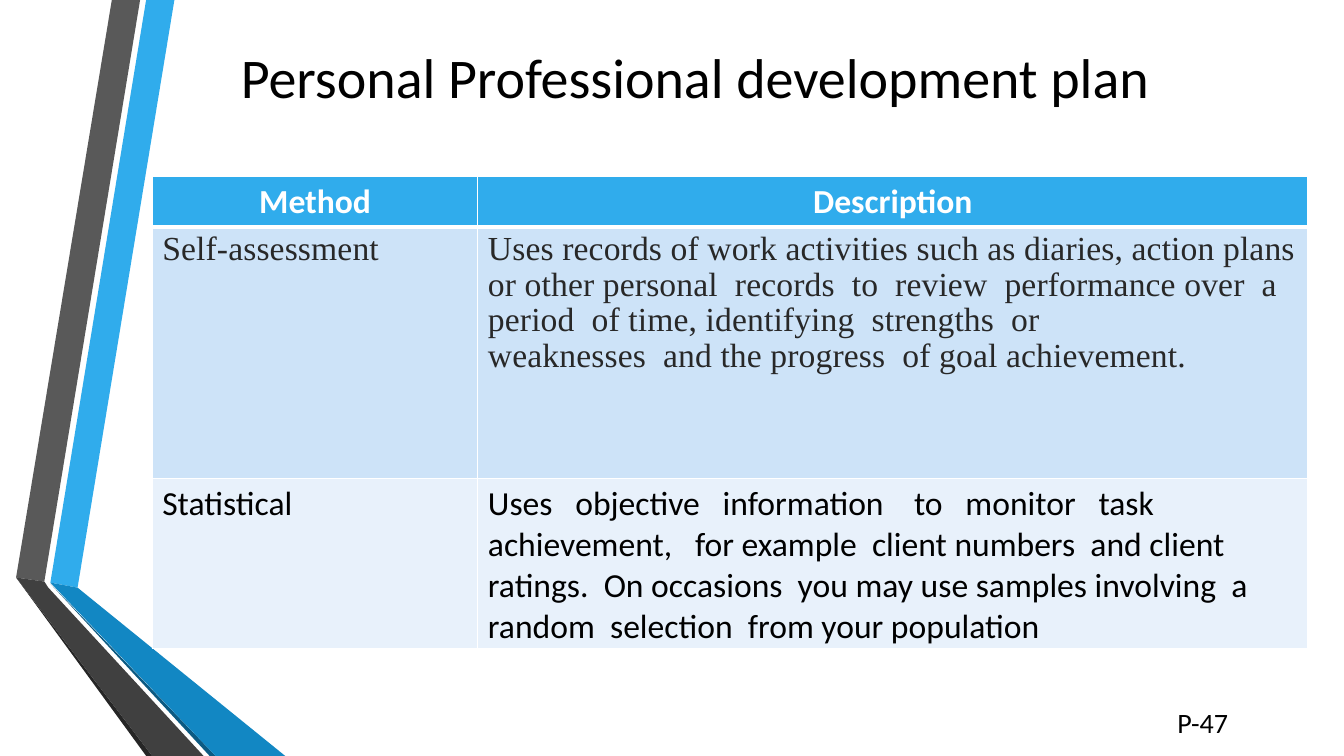
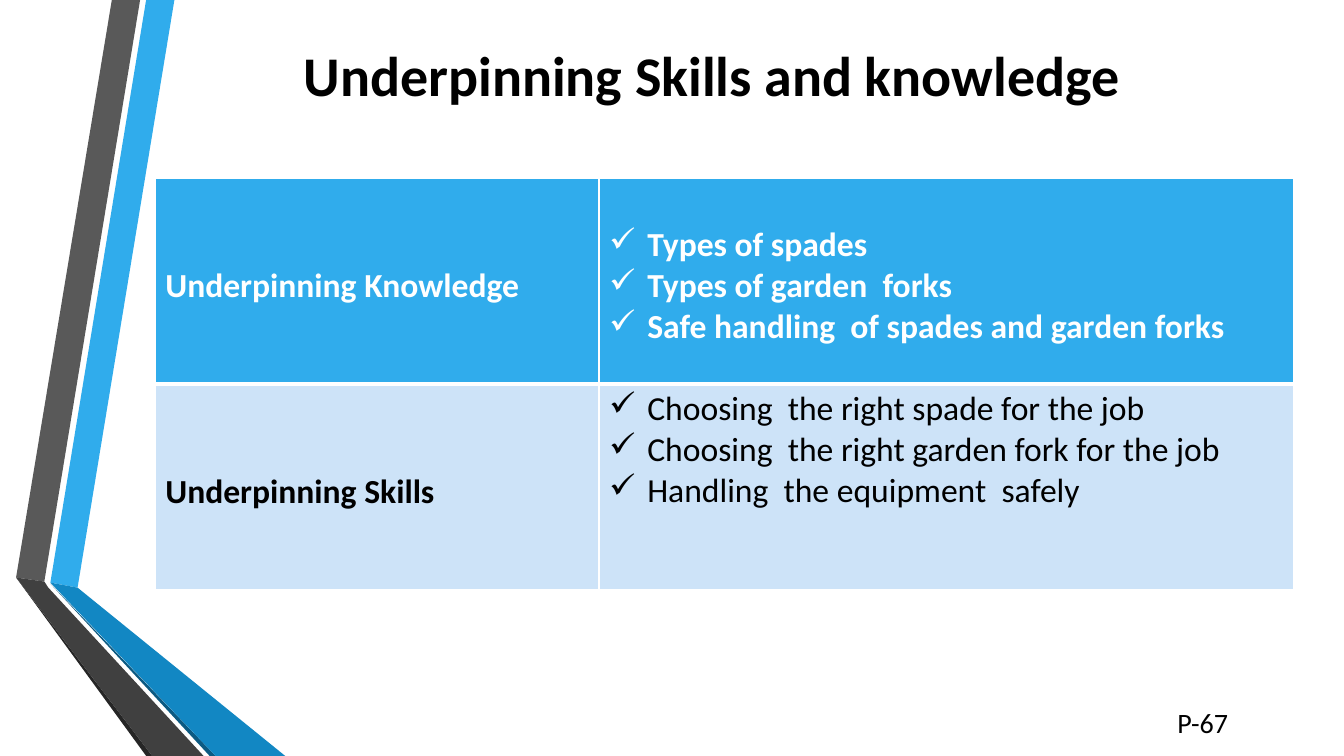
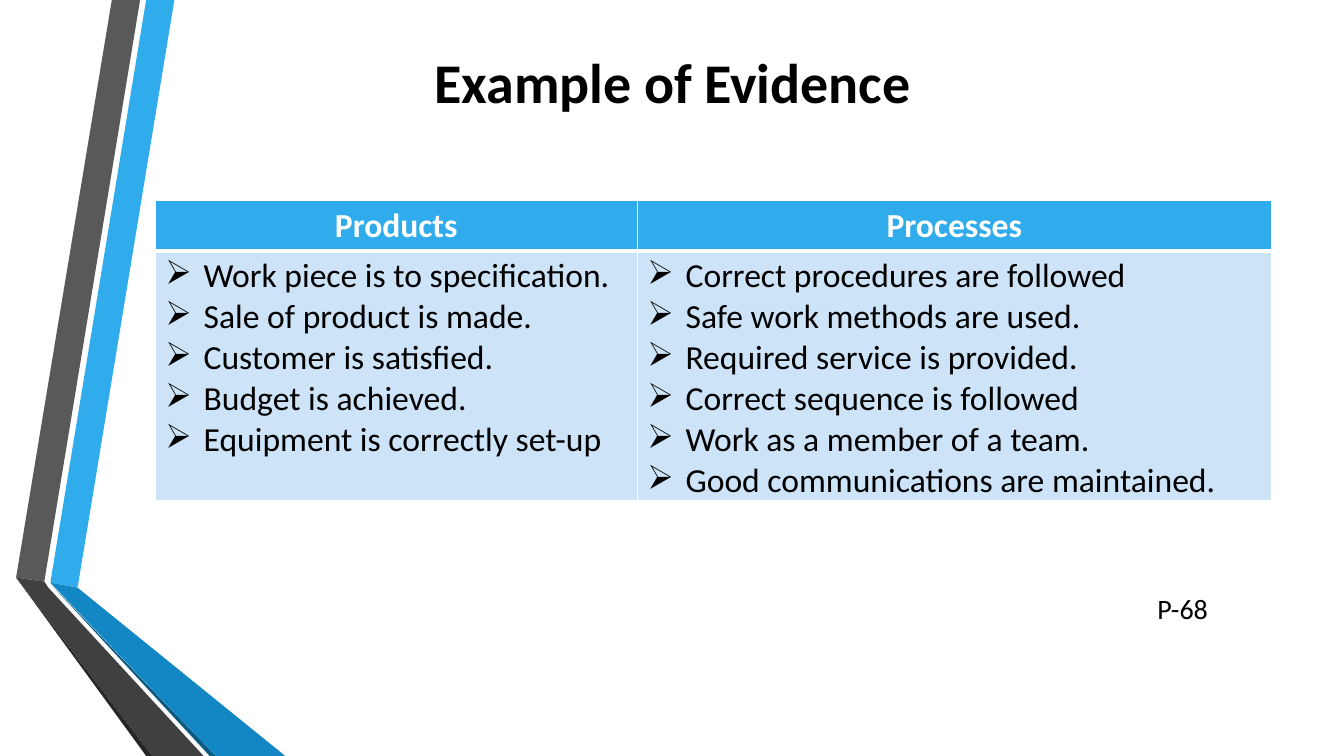
import dataclasses

import lxml.etree
import pptx
import pptx.dml.color
import pptx.enum.text
import pptx.oxml.ns
import pptx.util

Inches = pptx.util.Inches
RGBColor = pptx.dml.color.RGBColor
PP_ALIGN = pptx.enum.text.PP_ALIGN
qn = pptx.oxml.ns.qn

WHITE = RGBColor(0xFF, 0xFF, 0xFF)
BLACK = RGBColor(0x00, 0x00, 0x00)
INK = RGBColor(0x28, 0x28, 0x28)
BLUE = RGBColor(0x30, 0xAC, 0xEC)
BLUE_SHADE = RGBColor(0x12, 0x87, 0xC3)
BLUE_EDGE = RGBColor(0x0C, 0x5A, 0x82)
GREY = RGBColor(0x59, 0x59, 0x59)
GREY_SHADE = RGBColor(0x40, 0x40, 0x40)
GREY_EDGE = RGBColor(0x26, 0x26, 0x26)
BAND_DARK = RGBColor(0xCD, 0xE3, 0xF8)
BAND_LIGHT = RGBColor(0xE8, 0xF1, 0xFB)

FONT = "Calibri"
SERIF = "Times New Roman"
TITLE_SIZE, CELL_SIZE, PAGE_SIZE = 40, 24, 20
LINE_HEIGHT = 0.41
CELL_MARGIN = 0.05
HANGING_INDENT = 0.38

RIBBONS = [
    (BLUE, [(0.5, 5.78), (0.77, 5.83), (1.73, 0), (1.45, 0)]),
    (GREY, [(1.39, 0), (1.11, 0), (0.16, 5.73), (0.44, 5.77)]),
    (GREY_EDGE, [(0.16, 5.73), (1.45, 7.5), (1.51, 7.5)]),
    (BLUE_EDGE, [(0.5, 5.79), (2.08, 7.5), (2.14, 7.5)]),
    (BLUE_SHADE, [(0.5, 5.78), (2.14, 7.5), (2.83, 7.5), (0.77, 5.83)]),
    (GREY_SHADE, [(2.02, 7.5), (0.48, 5.83), (0.44, 5.77), (0.16, 5.73),
                  (1.51, 7.5)]),
]


@dataclasses.dataclass
class CellText:
    """Paragraphs of one table cell; lines_down counts lines left free above."""
    paragraphs: list
    bullet: str = ""
    bold: bool = False
    centered: bool = False
    serif: bool = False
    lines_down: int = 0


def heading(text):
    return CellText([text], bold=True, centered=True)


def place(shape, box):
    shape.left, shape.top, shape.width, shape.height = map(Inches, box)


def style_run(run, size, color, bold=False, font=FONT):
    run.font.name = font
    run.font.size = pptx.util.Pt(size)
    run.font.bold = bold
    run.font.color.rgb = color


def add_ribbons(slide, layout):
    """Draw the folded ribbons and move them to the layout all slides share."""
    for position, (color, corners) in enumerate(RIBBONS):
        points = [(Inches(x), Inches(y)) for x, y in corners]
        builder = slide.shapes.build_freeform(*points[0])
        builder.add_line_segments(points[1:], close=True)
        ribbon = builder.convert_to_shape()
        ribbon.shadow.inherit = False
        ribbon.fill.solid()
        ribbon.fill.fore_color.rgb = color
        ribbon.line.fill.background()
        layout.shapes._spTree.insert(2 + position, ribbon._element)


def set_title(slide, text, box, bold):
    title = slide.shapes.title
    place(title, box)
    frame = title.text_frame
    frame.text = text
    frame.word_wrap = True
    frame.auto_size = pptx.enum.text.MSO_AUTO_SIZE.NONE
    frame.vertical_anchor = pptx.enum.text.MSO_ANCHOR.MIDDLE
    frame.paragraphs[0].alignment = PP_ALIGN.CENTER
    style_run(frame.paragraphs[0].runs[0], TITLE_SIZE, BLACK, bold)


def add_page_label(slide, text, left, top):
    label = slide.shapes.add_textbox(*map(Inches, (left, top, 1.75, 0.44)))
    label.text_frame.word_wrap = True
    label.text_frame.text = text
    style_run(label.text_frame.paragraphs[0].runs[0], PAGE_SIZE, BLACK)


def set_bullet(paragraph, character):
    properties = paragraph._p.get_or_add_pPr()
    properties.set("marL", str(Inches(HANGING_INDENT)))
    properties.set("indent", str(-Inches(HANGING_INDENT)))
    bullet = lxml.etree.SubElement(properties, qn("a:buChar"))
    bullet.set("char", character)


def set_borders(cell, widths):
    """Give the cell white edges; widths maps an edge tag to points."""
    properties = cell._tc.get_or_add_tcPr()
    for position, (edge, width) in enumerate(widths.items()):
        line = lxml.etree.Element(qn("a:" + edge), w=str(pptx.util.Pt(width)))
        fill = lxml.etree.SubElement(line, qn("a:solidFill"))
        lxml.etree.SubElement(fill, qn("a:srgbClr"), val=str(WHITE))
        properties.insert(position, line)


def fill_cell(cell, content, row):
    is_header = row == 0
    cell.fill.solid()
    cell.fill.fore_color.rgb = (
        BLUE if is_header else BAND_DARK if row % 2 else BAND_LIGHT)
    set_borders(cell, {"lnL": 1, "lnR": 1, "lnT": 3 if row == 1 else 1,
                       "lnB": 3 if is_header else 1})
    cell.margin_top = Inches(CELL_MARGIN + content.lines_down * LINE_HEIGHT)
    cell.margin_bottom = Inches(CELL_MARGIN if is_header else 0)
    cell.text_frame.text = "\n".join(content.paragraphs)
    color = WHITE if is_header else INK if content.serif else BLACK
    for paragraph in cell.text_frame.paragraphs:
        if content.centered:
            paragraph.alignment = PP_ALIGN.CENTER
        if content.serif:
            paragraph.line_spacing = 0.96
        if content.bullet:
            set_bullet(paragraph, content.bullet)
        run = paragraph.runs[0]
        style_run(run, CELL_SIZE, color, content.bold,
                  SERIF if content.serif else FONT)
        if content.serif:
            run.font._element.set("spc", "10")


def add_text_table(slide, left, top, widths, heights, rows):
    frame = slide.shapes.add_table(
        len(heights), len(widths),
        *map(Inches, (left, top, sum(widths), sum(heights))))
    table = frame.table
    for column, width in zip(table.columns, widths):
        column.width = Inches(width)
    for index, (height, contents) in enumerate(zip(heights, rows)):
        table.rows[index].height = Inches(height)
        for cell, content in zip(table.rows[index].cells, contents):
            fill_cell(cell, content, index)


def fill_plan_slide(slide):
    set_title(slide, "Personal Professional development plan ",
              (0.95, 0.28, 12.01, 0.96), bold=False)
    add_page_label(slide, "P-47", 11.58, 6.95)
    add_text_table(slide, 1.51, 1.75, [3.23, 8.23], [0.5, 2.5, 1.68], [
        [heading("Method"), heading("Description")],
        [CellText(["Self-assessment"], serif=True),
         CellText(["Uses records of work activities such as diaries, action "
                   "plans or other personal  records  to  review  performance "
                   "over  a period  of time, identifying  strengths  or",
                   "weaknesses  and the progress  of goal achievement."],
                  serif=True)],
        [CellText(["Statistical"]),
         CellText(["Uses   objective   information    to   monitor   task   "
                   "achievement,   for example  client numbers  and client "
                   "ratings.  On occasions  you may use samples involving  a "
                   "random  selection  from your population"])],
    ])


def fill_skills_slide(slide):
    set_title(slide, "Underpinning Skills and knowledge",
              (1.93, 0.26, 10.26, 0.96), bold=True)
    add_page_label(slide, "P-67", 11.58, 6.95)
    add_text_table(slide, 1.54, 1.77, [4.4, 6.89], [2.04, 2.04], [
        [CellText(["Underpinning Knowledge"], bold=True, lines_down=2),
         CellText(["Types of spades", "Types of garden  forks",
                   "Safe handling  of spades and garden forks"],
                  bullet="✓", bold=True, lines_down=1)],
        [CellText(["Underpinning Skills"], bold=True, lines_down=2),
         CellText(["Choosing  the right spade for the job",
                   "Choosing  the right garden fork for the job",
                   "Handling  the equipment  safely"], bullet="✓")],
    ])


def fill_evidence_slide(slide):
    set_title(slide, "Example of Evidence",
              (1.54, 0.32, 10.26, 0.96), bold=True)
    add_page_label(slide, "P-68", 11.38, 5.82)
    add_text_table(slide, 1.54, 1.99, [4.78, 6.29], [0.5, 2.48], [
        [heading("Products"), heading("Processes")],
        [CellText(["Work piece is to specification.",
                   "Sale of product is made.",
                   "Customer is satisfied.",
                   "Budget is achieved.",
                   "Equipment is correctly set-up"], bullet="➢"),
         CellText(["Correct procedures are followed",
                   "Safe work methods are used.",
                   "Required service is provided.",
                   "Correct sequence is followed",
                   "Work as a member of a team.",
                   "Good communications are maintained."], bullet="➢")],
    ])


def main():
    presentation = pptx.Presentation()
    presentation.slide_width = Inches(13.33)
    presentation.slide_height = Inches(7.5)
    layout = presentation.slide_layouts.get_by_name("Title Only")
    fillers = [fill_plan_slide, fill_skills_slide, fill_evidence_slide]
    slides = [presentation.slides.add_slide(layout) for _ in fillers]
    add_ribbons(slides[0], layout)
    for fill_slide, slide in zip(fillers, slides):
        fill_slide(slide)
    presentation.save("out.pptx")


if __name__ == "__main__":
    main()
